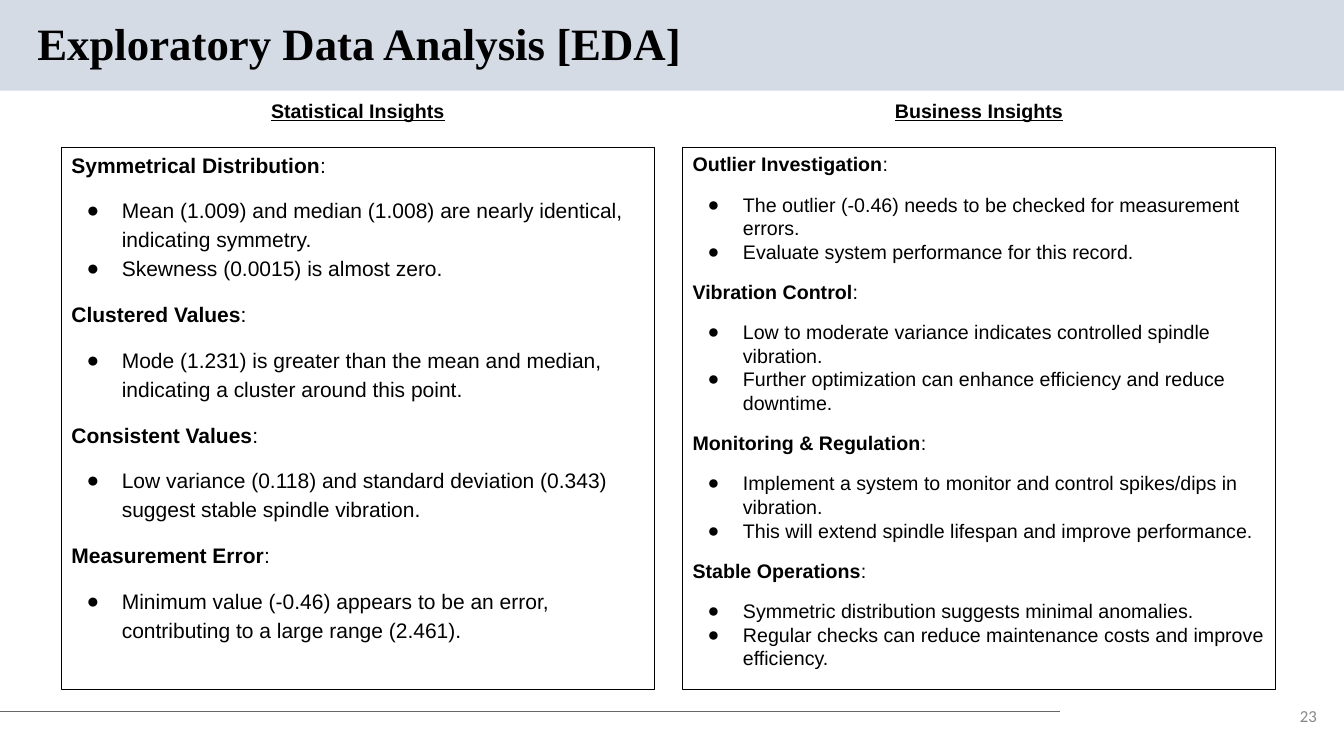
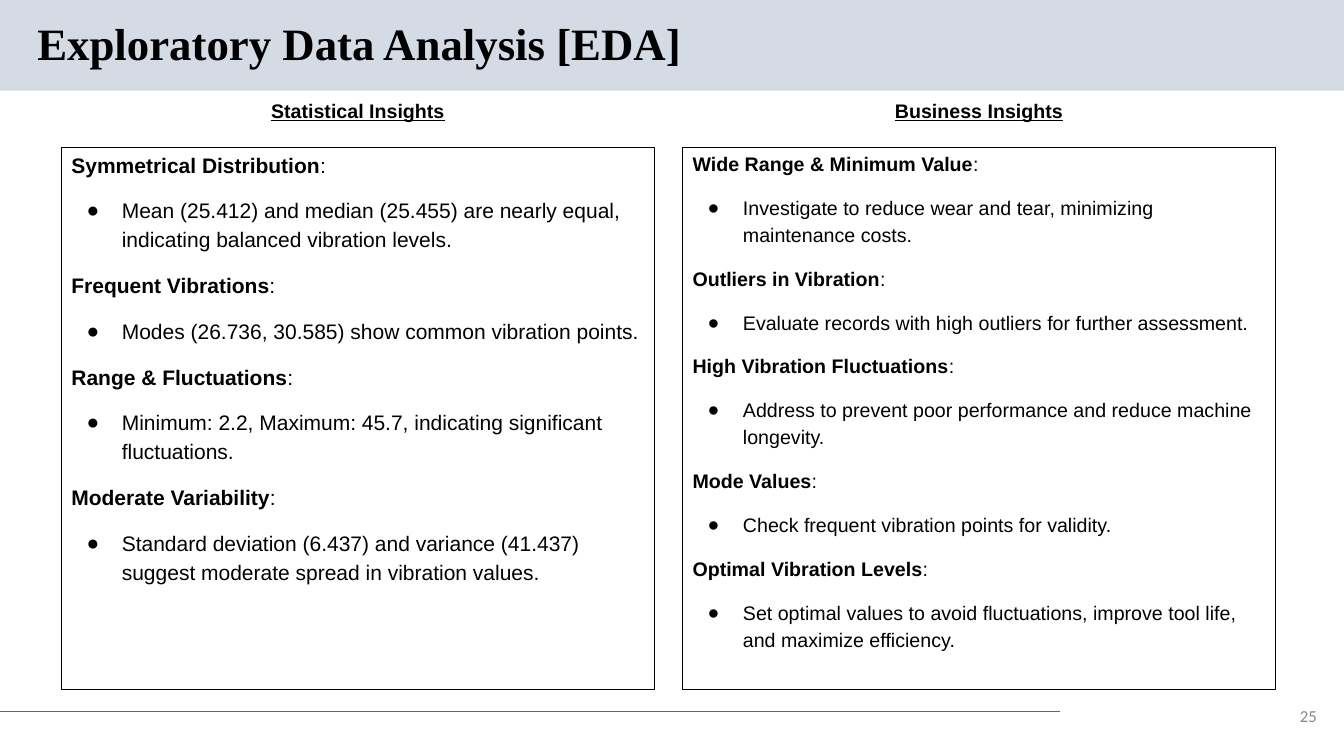
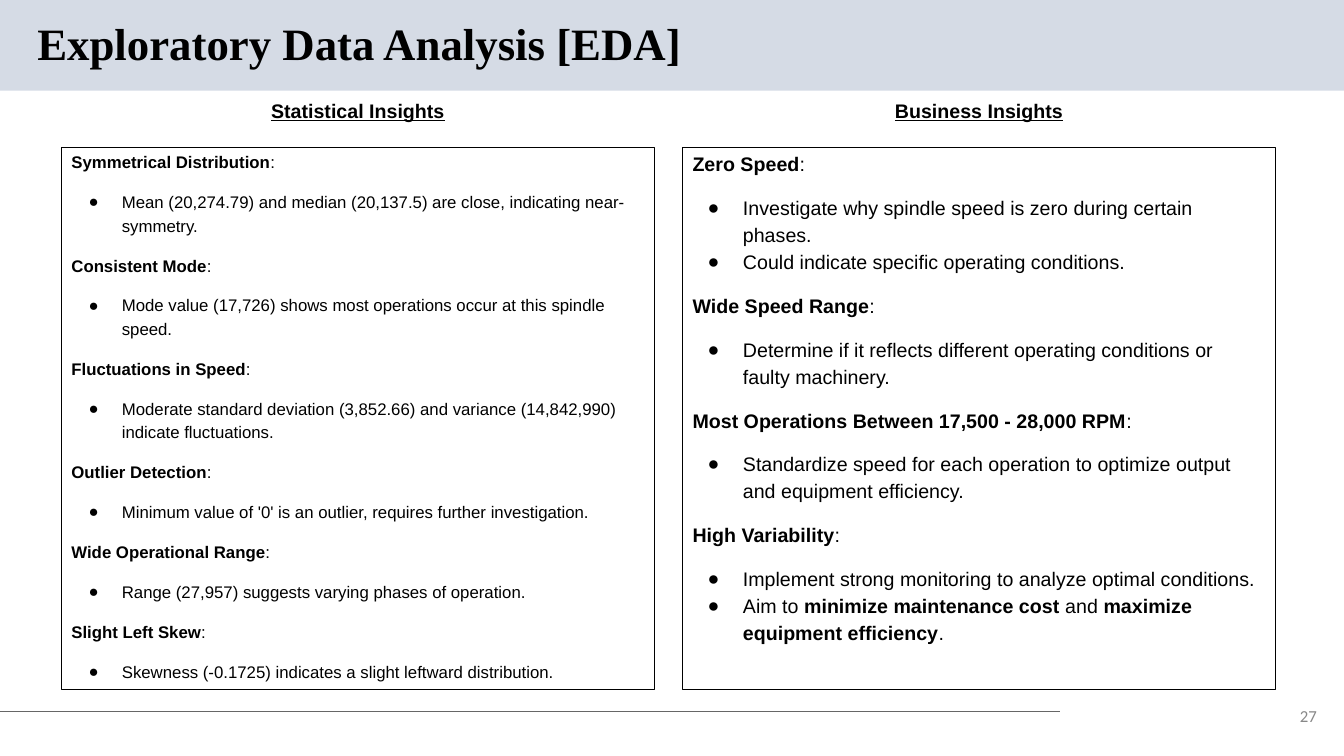
"""Build three slides that pair statistical and business insights from the data analysis."""
import dataclasses

import lxml.etree
import pptx
import pptx.dml.color
import pptx.enum.shapes
import pptx.enum.text
import pptx.oxml.ns
import pptx.util


@dataclasses.dataclass(frozen=True)
class Theme:
    band: str = "D5DBE5"
    rule: str = "666666"
    ink: str = "000000"
    muted: str = "888888"
    title_font: str = "Times New Roman"
    body_font: str = "Arial"
    number_font: str = "Calibri"
    title_size: int = 32
    heading_size: int = 14
    number_size: int = 12
    paragraph_gap: int = 12
    line_width: float = 0.75


THEME = Theme()
PX = 914400 // 100
ALIGN = pptx.enum.text.PP_ALIGN
ANCHOR = pptx.enum.text.MSO_ANCHOR
AUTO_SIZE = pptx.enum.text.MSO_AUTO_SIZE
RECTANGLE = pptx.enum.shapes.MSO_SHAPE.RECTANGLE
STRAIGHT = pptx.enum.shapes.MSO_CONNECTOR.STRAIGHT
qn = pptx.oxml.ns.qn


def rgb(value):
    return pptx.dml.color.RGBColor.from_string(value)


def write(paragraph, text, *, size, font=THEME.body_font, color=THEME.ink, bold=False,
          underline=False, align=ALIGN.LEFT, spacing=None, before=0, hanging=0):
    """Fill a paragraph, switching bold at each ** mark and adding a bullet when hanging is set."""
    if hanging:
        properties = paragraph._p.get_or_add_pPr()
        properties.set("marL", str(50 * PX))
        properties.set("indent", str(-hanging * PX))
        bullet_color = lxml.etree.SubElement(properties, qn("a:buClr"))
        lxml.etree.SubElement(bullet_color, qn("a:srgbClr"), val=color)
        lxml.etree.SubElement(properties, qn("a:buFont"), typeface=font)
        lxml.etree.SubElement(properties, qn("a:buChar"), char="●")
    paragraph.alignment = align
    paragraph.space_before = pptx.util.Pt(before)
    if spacing:
        paragraph.line_spacing = spacing
    for index, part in enumerate(text.split("**")):
        if part:
            run = paragraph.add_run()
            run.text = part
            run.font.size = pptx.util.Pt(size)
            run.font.name = font
            run.font.bold = bold or index % 2 == 1
            run.font.underline = underline
            run.font.color.rgb = rgb(color)


PAGES = [
    {"number": "23", "columns": [
        {"heading": "Statistical Insights", "size": 15, "spacing": 1.15, "hanging": 35, "topics": [
            ("Symmetrical Distribution", [
                "Mean (1.009) and median (1.008) are nearly identical, indicating symmetry.",
                "Skewness (0.0015) is almost zero."]),
            ("Clustered Values", [
                "Mode (1.231) is greater than the mean and median, indicating a cluster around this point."]),
            ("Consistent Values", [
                "Low variance (0.118) and standard deviation (0.343) suggest stable spindle vibration."]),
            ("Measurement Error", [
                "Minimum value (-0.46) appears to be an error, contributing to a large range (2.461)."]),
        ]},
        {"heading": "Business Insights", "size": 14, "spacing": 1.0, "hanging": 35, "topics": [
            ("Outlier Investigation", [
                "The outlier (-0.46) needs to be checked for measurement errors.",
                "Evaluate system performance for this record."]),
            ("Vibration Control", [
                "Low to moderate variance indicates controlled spindle vibration.",
                "Further optimization can enhance efficiency and reduce downtime."]),
            ("Monitoring & Regulation", [
                "Implement a system to monitor and control spikes/dips in vibration.",
                "This will extend spindle lifespan and improve performance."]),
            ("Stable Operations", [
                "Symmetric distribution suggests minimal anomalies.",
                "Regular checks can reduce maintenance costs and improve efficiency."]),
        ]},
    ]},
    {"number": "25", "columns": [
        {"heading": "Statistical Insights", "size": 15, "spacing": 1.15, "hanging": 35, "topics": [
            ("Symmetrical Distribution", [
                "Mean (25.412) and median (25.455) are nearly equal, indicating balanced vibration levels."]),
            ("Frequent Vibrations", [
                "Modes (26.736, 30.585) show common vibration points."]),
            ("Range & Fluctuations", [
                "Minimum: 2.2, Maximum: 45.7, indicating significant fluctuations."]),
            ("Moderate Variability", [
                "Standard deviation (6.437) and variance (41.437) suggest moderate spread in vibration values."]),
        ]},
        {"heading": "Business Insights", "size": 14, "spacing": 1.15, "hanging": 35, "topics": [
            ("Wide Range & Minimum Value", [
                "Investigate to reduce wear and tear, minimizing maintenance costs."]),
            ("Outliers in Vibration", [
                "Evaluate records with high outliers for further assessment."]),
            ("High Vibration Fluctuations", [
                "Address to prevent poor performance and reduce machine longevity."]),
            ("Mode Values", [
                "Check frequent vibration points for validity."]),
            ("Optimal Vibration Levels", [
                "Set optimal values to avoid fluctuations, improve tool life, and maximize efficiency."]),
        ]},
    ]},
    {"number": "27", "columns": [
        {"heading": "Statistical Insights", "size": 12, "spacing": 1.15, "hanging": 33, "topics": [
            ("Symmetrical Distribution", [
                "Mean (20,274.79) and median (20,137.5) are close, indicating near-symmetry."]),
            ("Consistent Mode", [
                "Mode value (17,726) shows most operations occur at this spindle speed."]),
            ("Fluctuations in Speed", [
                "Moderate standard deviation (3,852.66) and variance (14,842,990) indicate fluctuations."]),
            ("Outlier Detection", [
                "Minimum value of '0' is an outlier, requires further investigation."]),
            ("Wide Operational Range", [
                "Range (27,957) suggests varying phases of operation."]),
            ("Slight Left Skew", [
                "Skewness (-0.1725) indicates a slight leftward distribution."]),
        ]},
        {"heading": "Business Insights", "size": 14, "spacing": 1.15, "hanging": 35, "topics": [
            ("Zero Speed", [
                "Investigate why spindle speed is zero during certain phases.",
                "Could indicate specific operating conditions."]),
            ("Wide Speed Range", [
                "Determine if it reflects different operating conditions or faulty machinery."]),
            ("Most Operations Between 17,500 - 28,000 RPM", [
                "Standardize speed for each operation to optimize output and equipment efficiency."]),
            ("High Variability", [
                "Implement strong monitoring to analyze optimal conditions.",
                "Aim to **minimize maintenance cost** and **maximize equipment efficiency**."]),
        ]},
    ]},
]

presentation = pptx.Presentation()
presentation.slide_width = 1333 * PX
presentation.slide_height = 750 * PX
layout = presentation.slide_layouts.get_by_name("Title Only")
slides = [presentation.slides.add_slide(layout) for page in PAGES]

band = slides[0].shapes.add_shape(RECTANGLE, 0, 0, 1333 * PX, 90 * PX)
band.shadow.inherit = False
band.fill.solid()
band.fill.fore_color.rgb = rgb(THEME.band)
band.line.fill.background()
footer_rule = slides[0].shapes.add_connector(STRAIGHT, 0, 706 * PX, 1051 * PX, 706 * PX)
footer_rule.line.color.rgb = rgb(THEME.rule)
footer_rule.line.width = pptx.util.Pt(THEME.line_width)
lxml.etree.SubElement(footer_rule.element.spPr, qn("a:effectLst"))
for shared_shape in (band, footer_rule):
    layout.shapes.element.append(shared_shape.element)

for slide, page in zip(slides, PAGES):
    title = slide.shapes.title
    title.left, title.top, title.width, title.height = 27 * PX, 16 * PX, 1011 * PX, 59 * PX
    title.text_frame.word_wrap = True
    title.text_frame.auto_size = AUTO_SIZE.SHAPE_TO_FIT_TEXT
    title.text_frame.vertical_anchor = ANCHOR.MIDDLE
    write(title.text_frame.paragraphs[0], "Exploratory Data Analysis [EDA]",
          size=THEME.title_size, font=THEME.title_font, bold=True, spacing=0.9)

    number = slide.shapes.add_textbox(1273 * PX, 694 * PX, 43 * PX, 32 * PX)
    number.text_frame.word_wrap = True
    number.text_frame.vertical_anchor = ANCHOR.MIDDLE
    write(number.text_frame.paragraphs[0], page["number"], size=THEME.number_size,
          font=THEME.number_font, color=THEME.muted, align=ALIGN.RIGHT)

    for index, column in enumerate(page["columns"]):
        left = (61 + 616 * index) * PX
        width = 588 * PX

        panel = slide.shapes.add_shape(RECTANGLE, left, 146 * PX, width, 538 * PX)
        panel.shadow.inherit = False
        panel.fill.background()
        panel.line.color.rgb = rgb(THEME.ink)
        panel.line.width = pptx.util.Pt(THEME.line_width)
        frame = panel.text_frame
        frame.word_wrap = True
        frame.vertical_anchor = ANCHOR.TOP
        for topic_index, (topic, points) in enumerate(column["topics"]):
            first = topic_index == 0
            paragraph = frame.paragraphs[0] if first else frame.add_paragraph()
            write(paragraph, f"**{topic}**:", size=column["size"],
                  spacing=None if first else column["spacing"],
                  before=0 if first else THEME.paragraph_gap)
            for point_index, point in enumerate(points):
                write(frame.add_paragraph(), point, size=column["size"],
                      spacing=column["spacing"], hanging=column["hanging"],
                      before=0 if point_index else THEME.paragraph_gap)

        heading = slide.shapes.add_textbox(left, 93 * PX, width, 34 * PX)
        heading.text_frame.word_wrap = True
        heading.text_frame.auto_size = AUTO_SIZE.SHAPE_TO_FIT_TEXT
        write(heading.text_frame.paragraphs[0], column["heading"], size=THEME.heading_size,
              bold=True, underline=True, align=ALIGN.CENTER)

presentation.save("out.pptx")
